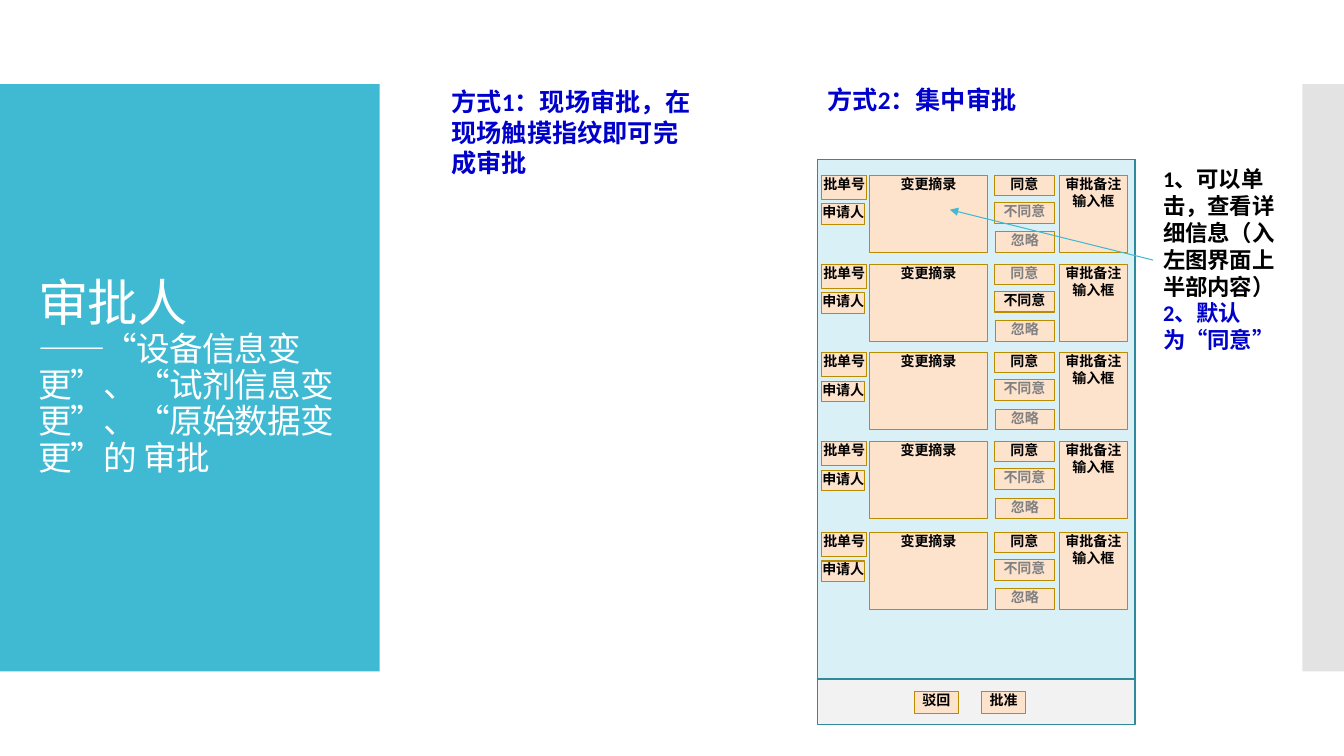
from lxml import etree
from pptx import Presentation
from pptx import util as u
from pptx.dml.color import RGBColor
from pptx.enum import lang, shapes, text
from pptx.oxml import ns

TEAL, BORDER, GOLD, PEACH = "40BAD2", "2F8A9B", "BB8B00", "FDE2CC"
BLACK, GREY, BLUE, WHITE = "000000", "808080", "0000CC", "FFFFFF"

presentation = Presentation()
presentation.slide_width, presentation.slide_height = u.Pt(960), u.Pt(540)
slide = presentation.slides.add_slide(presentation.slide_layouts[6])


def add_box(place, fill=None, line=None, width=0.75):
    """Add a rectangle, or a wrapping text box when there is no fill."""
    place = [u.Pt(value) for value in place]
    if fill is None:
        shape = slide.shapes.add_textbox(*place)
    else:
        shape = slide.shapes.add_shape(shapes.MSO_SHAPE.RECTANGLE, *place)
        shape.shadow.inherit = False
        shape.fill.solid()
        shape.fill.fore_color.rgb = RGBColor.from_string(fill)
        if line:
            shape.line.color.rgb = RGBColor.from_string(line)
            shape.line.width = u.Pt(width)
        else:
            shape.line.fill.background()
    shape.text_frame.word_wrap = True
    return shape


def add_run(paragraph, words, size, color, bold=True):
    run = paragraph.add_run()
    run.text = words
    style = {"size": u.Pt(size), "name": "Calibri", "bold": bold,
             "language_id": lang.MSO_LANGUAGE_ID.SIMPLIFIED_CHINESE}
    for name, value in style.items():
        setattr(run.font, name, value)
    run.font.color.rgb = RGBColor.from_string(color)
    return run


# Side bands and title
add_box((0, 60, 271.2, 419.5), TEAL)
right_band = add_box((930.4, 60, 29.6, 419.5), "C8C8C8")
band_color = right_band.fill._xPr.find(".//" + ns.qn("a:srgbClr"))
etree.SubElement(band_color, ns.qn("a:alpha"), val="50000")

title = add_box((20.2, 88.6, 231.8, 362.2))
title.text_frame.vertical_anchor = text.MSO_ANCHOR.MIDDLE
title_paragraph = title.text_frame.paragraphs[0]
title_paragraph.line_spacing = 0.9
heading = add_run(title_paragraph, "审批人", 36, WHITE, False)
title_paragraph.add_line_break()
subtitle = add_run(title_paragraph, "——“设备信息变更”、“试剂信息变更”、“原始数据变更”的 审批", 24, WHITE, False)
for run in (heading, subtitle):
    run.font._element.set("spc", "-60")

# Approval screen: frame, then the list area above the button bar
add_box((583.9, 114.2, 226.8, 403.2), "F2F2F2", BORDER, 0.85)
add_box((583.9, 114.2, 226.8, 370.8), "D9F1F6", BORDER, 0.85)

# Fields of one request: label, left, offset from row top, width, height
FIELDS = [
    ("批单号", 586.8, 0, 32.4, 17.1),
    ("变更摘录", 621, 0, 84.4, 54.9),
    ("申请人", 586.8, 20.4, 31, 14.7),
    ("同意", 710.5, 0, 42.5, 14.5),
    ("不同意", 710.5, 19.6, 42.5, 14.5),
    ("审批备注输入框", 756.8, 0, 48.4, 54.9),
    ("忽略", 710.8, 40.4, 42.5, 14.5),
]
CHOICES = ("同意", "不同意", "忽略")
REQUESTS = [(125.3, "同意"), (188.8, "不同意"), (251.8, "同意"),
            (315.4, "同意"), (380.3, "同意")]

labels = [("驳回", 653, 493.8, 31.7, 15.8, BLACK), ("批准", 701.1, 493.8, 31.7, 15.8, BLACK)]
for top, chosen in REQUESTS:
    for label, left, offset, width, height in FIELDS:
        color = GREY if label in CHOICES and label != chosen else BLACK
        labels.append((label, left, top + offset, width, height, color))

for label, left, top, width, height, color in labels:
    frame = add_box((left, top, width, height), PEACH, GOLD).text_frame
    for side in ("left", "top", "right", "bottom"):
        setattr(frame, f"margin_{side}", 0)
    frame.vertical_anchor = text.MSO_ANCHOR.TOP
    frame.paragraphs[0].alignment = text.PP_ALIGN.CENTER
    add_run(frame.paragraphs[0], label, 10, color)

# Arrow from the notes to the first summary
arrow = slide.shapes.add_connector(
    shapes.MSO_CONNECTOR.STRAIGHT, u.Pt(823.7), u.Pt(185.8), u.Pt(678.5), u.Pt(149.8))
arrow.line.color.rgb = RGBColor.from_string(TEAL)
arrow.line.width = u.Pt(0.75)
etree.SubElement(arrow.line._get_or_add_ln(), ns.qn("a:tailEnd"), type="triangle")
etree.SubElement(arrow._element.spPr, ns.qn("a:effectLst"))

# Headings and notes
CAPTIONS = [
    ((823.7, 114.5, 97.9, 143.3), 16, [("1、可以单击，查看详细信息（入左图界面上半部内容）", BLACK),
                                       ("2、默认为“同意”", BLUE)]),
    ((315.4, 58.3, 192.2, 72.7), 18, [("方式1：现场审批，在现场触摸指纹即可完成审批", BLUE)]),
    ((583.9, 56.5, 272.9, 29.1), 18, [("方式2：集中审批", BLUE)]),
]
for place, size, lines in CAPTIONS:
    frame = add_box(place).text_frame
    frame.auto_size = text.MSO_AUTO_SIZE.SHAPE_TO_FIT_TEXT
    for index, (words, color) in enumerate(lines):
        paragraph = frame.add_paragraph() if index else frame.paragraphs[0]
        add_run(paragraph, words, size, color)

presentation.save("out.pptx")
